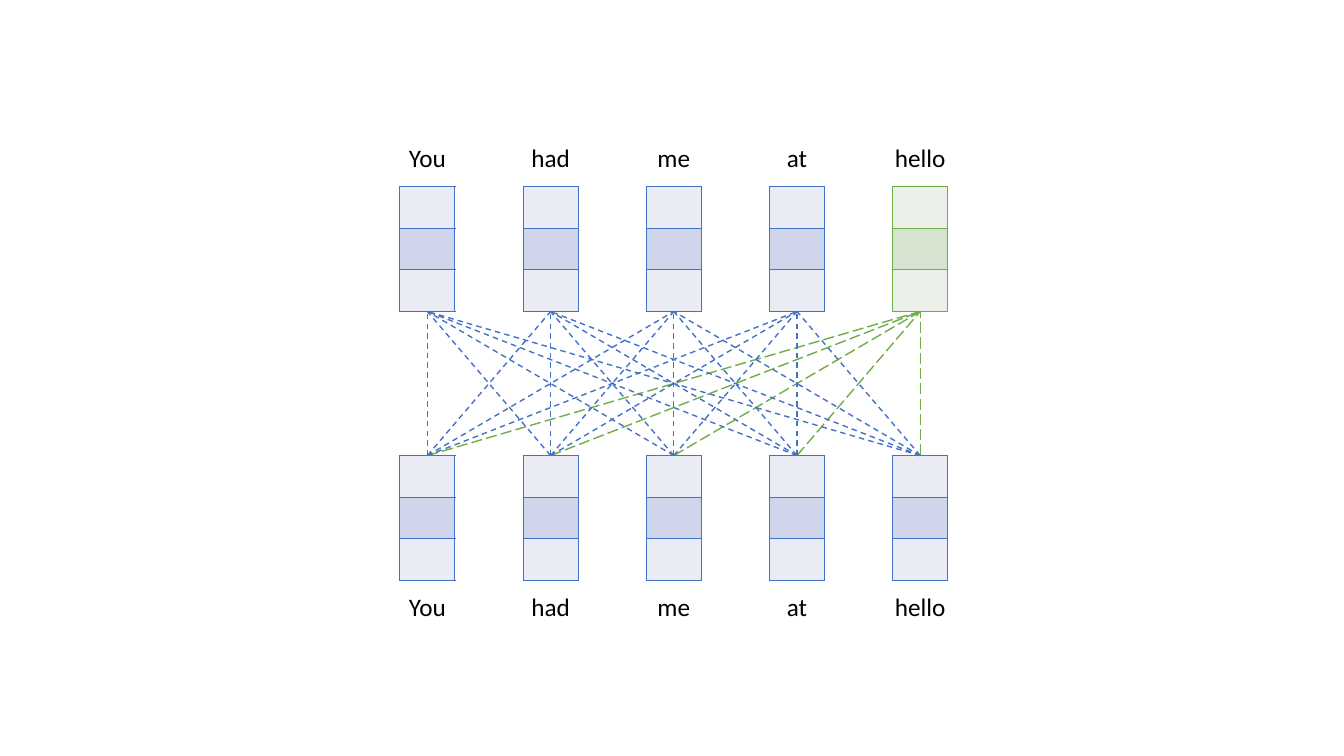
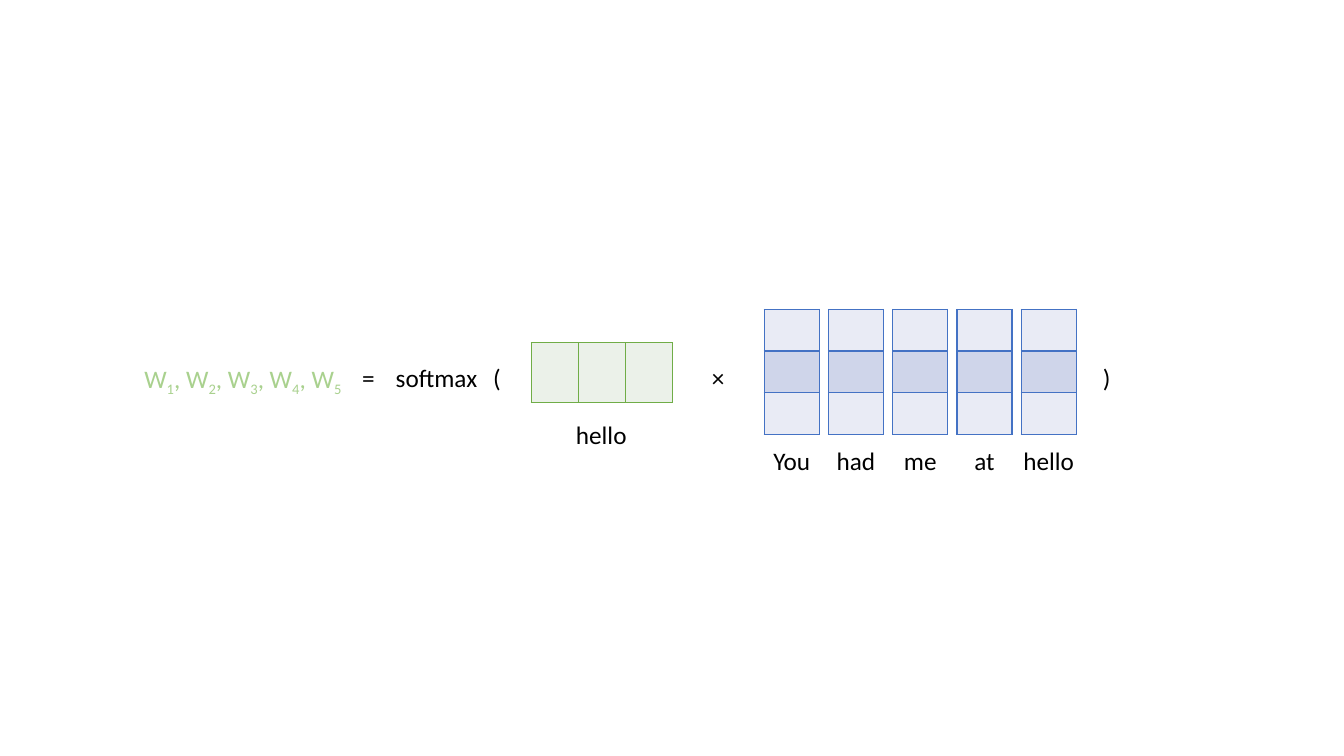
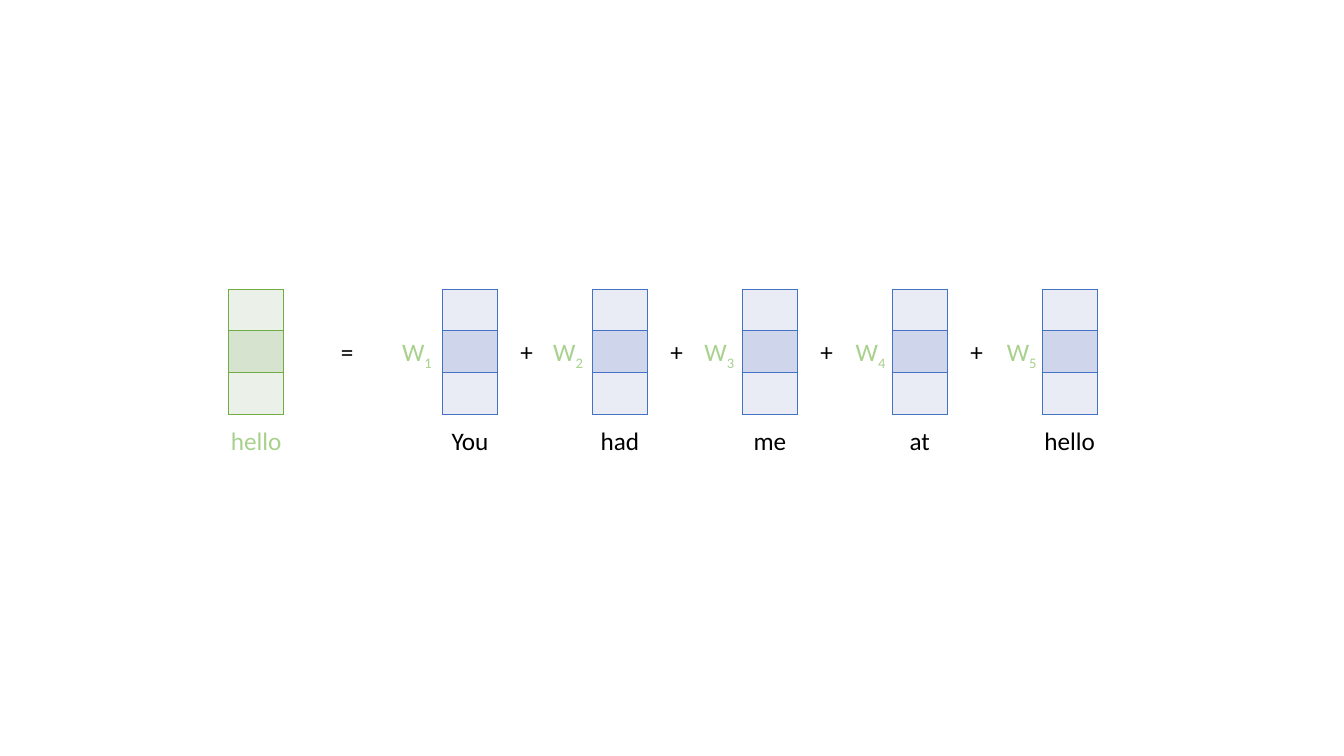
from itertools import groupby

from lxml.etree import SubElement
from pptx import Presentation
from pptx.dml.color import RGBColor
from pptx.enum.dml import MSO_LINE
from pptx.enum.shapes import MSO_CONNECTOR
from pptx.enum.text import PP_ALIGN
from pptx.oxml.ns import qn
from pptx.util import Pt

WORDS = ["You", "had", "me", "at", "hello"]
WEIGHTS = ["W1", "W2", "W3", "W4", "W5"]
FORMULA_PARTS = [("=", 263.2), ("softmax", 311.8), ("(", 355), ("×", 513), (")", 790.6)]

BLACK = "000000"
WEIGHT_GREEN = "A9D18E"
BLUE = {"line": "4472C4", "light": "E9EBF5", "dark": "CFD5EA", "dash": MSO_LINE.DASH}
GREEN = {"line": "70AD47", "light": "EBF1E9", "dark": "D5E3CF", "dash": MSO_LINE.LONG_DASH}

FONT = "Calibri"
VECTOR_WIDTH = 39.3
VECTOR_HEIGHT = 89.3
LABEL_BELOW = 93.6
LABEL_ABOVE = -35.3
LABEL_HEIGHT = 29


def color(value):
    return RGBColor.from_string(value)


def add_label(page, text, center, top, fill=BLACK, width=60, size=18):
    box = page.shapes.add_textbox(
        Pt(center - width / 2), Pt(top), Pt(width), Pt(LABEL_HEIGHT))
    box.text_frame.word_wrap = True
    para = box.text_frame.paragraphs[0]
    para.alignment = PP_ALIGN.CENTER
    for is_subscript, letters in groupby(text, str.isdigit):
        span = para.add_run()
        span.text = "".join(letters)
        span.font.name = FONT
        span.font.size = Pt(size)
        span.font.color.rgb = color(fill)
        if is_subscript:
            span.font._element.set("baseline", "-25000")


def add_borders(cell, line):
    properties = cell._tc.get_or_add_tcPr()
    for side in ("lnL", "lnR", "lnT", "lnB"):
        border = SubElement(properties, qn(f"a:{side}"), w=str(Pt(1)))
        SubElement(SubElement(border, qn("a:solidFill")), qn("a:srgbClr"), val=line)


def add_grid(page, left, top, width, height, rows, columns, theme):
    table = page.shapes.add_table(
        rows, columns, Pt(left), Pt(top), Pt(width), Pt(height)).table
    table.first_row = False
    table.horz_banding = False
    for row_index, row in enumerate(table.rows):
        for cell in row.cells:
            cell.margin_top = cell.margin_bottom = 0
            add_borders(cell, theme["line"])
            cell.fill.solid()
            cell.fill.fore_color.rgb = color(theme["dark" if row_index % 2 else "light"])


def add_vector(page, word, center, top, theme=BLUE, fill=BLACK, label_offset=LABEL_BELOW):
    add_grid(page, center - VECTOR_WIDTH / 2, top, VECTOR_WIDTH, VECTOR_HEIGHT, 3, 1, theme)
    add_label(page, word, center, top + label_offset, fill=fill)


def add_link(page, start, end, theme):
    link = page.shapes.add_connector(
        MSO_CONNECTOR.STRAIGHT, *(Pt(value) for value in start + end))
    link.line.color.rgb = color(theme["line"])
    link.line.width = Pt(1)
    link.line.dash_style = theme["dash"]
    SubElement(link._element.spPr, qn("a:effectLst"))


def spread(first, pitch, count=len(WORDS)):
    return [first + pitch * index for index in range(count)]


def build_attention(page):
    input_top, output_top = 325.4, 133.2
    centers = spread(305.3, 88)
    themes = [BLUE] * 4 + [GREEN]
    for word, center, theme in zip(WORDS, centers, themes):
        add_vector(page, word, center, input_top)
        add_vector(page, word, center, output_top, theme, label_offset=LABEL_ABOVE)
    for output, theme in reversed(list(zip(centers, themes))):
        for source in centers:
            add_link(page, (source, input_top), (output, output_top + VECTOR_HEIGHT), theme)


def build_weights(page):
    for word, center in zip(WORDS, spread(565.5, 45.9)):
        add_vector(page, word, center, 221)
    add_grid(page, 379.4, 244.8, 101, 42.6, 1, 3, GREEN)
    add_label(page, "hello", 429.5, 296)
    for text, center in FORMULA_PARTS:
        add_label(page, text, center, 255, width=90)
    add_label(page, ", ".join(WEIGHTS), 173.5, 255.6, fill=WEIGHT_GREEN, width=180)


def build_weighted_sum(page):
    vector_top, operator_top = 206.6, 236.9
    add_vector(page, "hello", 183, vector_top, GREEN, fill=WEIGHT_GREEN)
    add_label(page, "=", 248, operator_top)
    for word, center in zip(WORDS, spread(335.7, 107.1)):
        add_vector(page, word, center, vector_top)
    for weight, center in zip(WEIGHTS, spread(297.8, 108)):
        add_label(page, weight, center, operator_top, fill=WEIGHT_GREEN)
    for center in spread(376.2, 107.1, len(WORDS) - 1):
        add_label(page, "+", center, operator_top)


def main():
    deck = Presentation()
    deck.slide_width, deck.slide_height = Pt(960), Pt(540)
    for build in (build_attention, build_weights, build_weighted_sum):
        build(deck.slides.add_slide(deck.slide_layouts[6]))
    deck.save("out.pptx")


if __name__ == "__main__":
    main()
